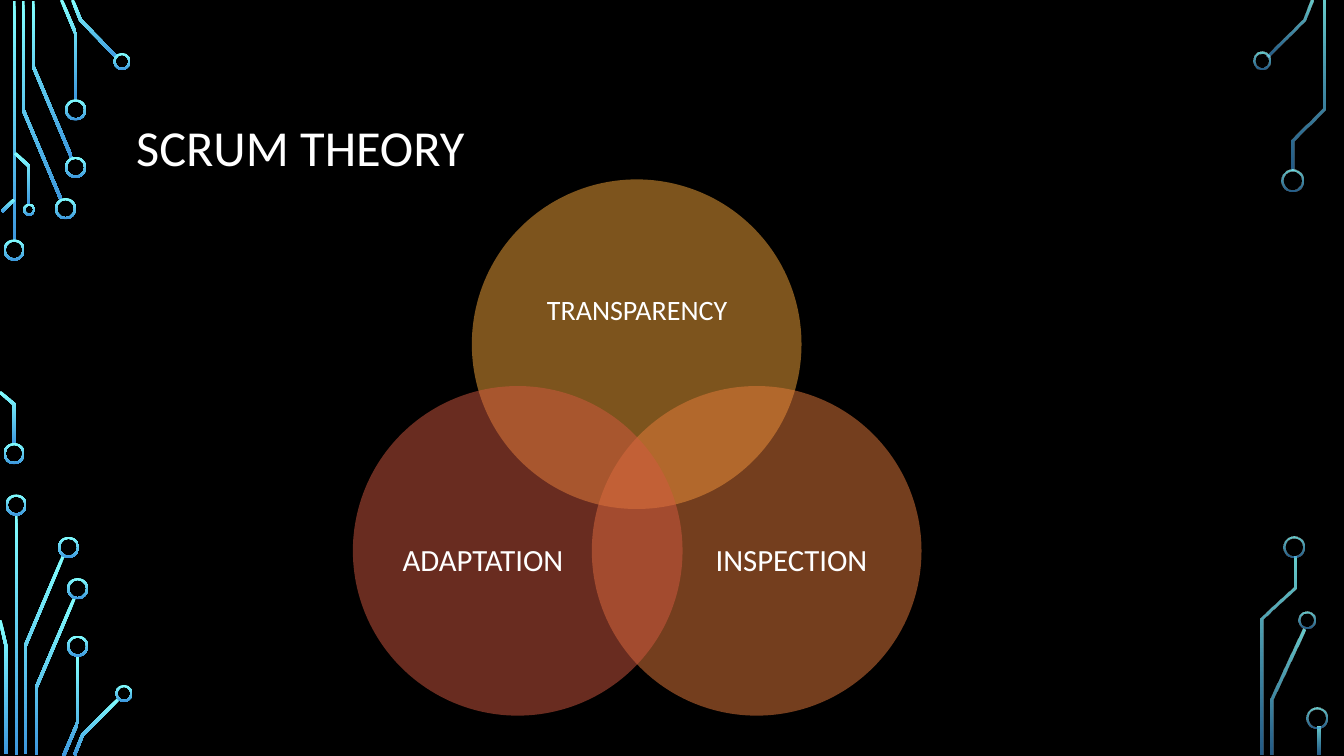
import math
from dataclasses import dataclass

import pptx
import pptx.util
from lxml import etree
from pptx.dml.color import RGBColor
from pptx.enum.shapes import MSO_SHAPE
from pptx.enum.text import MSO_ANCHOR, MSO_AUTO_SIZE, PP_ALIGN
from pptx.oxml.ns import qn

PX = 9144  # EMU per px, 100 px to the inch
FONT = "Calibri"
TRACE_WIDTH = 3
RING_WIDTH = 2

BLACK = RGBColor(0x00, 0x00, 0x00)
WHITE = RGBColor(0xFF, 0xFF, 0xFF)
CYAN = RGBColor(0x82, 0xFF, 0xFF)
BLUE = RGBColor(0x3D, 0x97, 0xDE)
AMBER = RGBColor(0xFA, 0xA9, 0x3A)
ORANGE = RGBColor(0xE8, 0x7C, 0x3C)
RED = RGBColor(0xD3, 0x59, 0x40)


@dataclass
class Box:
    left: int
    top: int
    width: int
    height: int

    def inner(self, left, top, width, height):
        return Box(self.left + left, self.top + top, width, height)

    def emu(self):
        return [round(n * PX) for n in (self.left, self.top, self.width, self.height)]


# Circuit art: traces are centre lines, rings are (centre x, centre y, diameter)
LEFT_TRACES = [
    [(14, 1), (14, 240)],
    [(23, 1), (23, 109), (61, 199)],
    [(33, 1), (33, 66), (71, 156)],
    [(61, 0), (75, 33), (75, 100)],
    [(72, 0), (80, 20), (116, 57)],
    [(14, 198), (2, 210)],
    [(0, 389), (14, 401), (14, 441)],
    [(15, 152), (29, 165), (29, 203)],
    [(16, 510), (16, 749)],
    [(63, 551), (25, 641), (25, 748)],
    [(0, 615), (6, 641), (6, 748)],
    [(74, 593), (36, 682), (36, 749)],
    [(77, 650), (77, 717), (63, 750)],
    [(118, 693), (82, 729), (74, 749)],
]
LEFT_RINGS = [
    (14, 248, 21), (14, 450, 21), (65, 207, 21), (75, 166, 21),
    (75, 109, 21), (121, 61, 17), (29, 208, 12), (16, 501, 21),
    (68, 543, 21), (77, 584, 21), (77, 641, 21), (123, 688, 17),
]
RIGHT_TRACES = [
    [(51, 0), (43, 20), (7, 56)],
    [(63, 1), (63, 108), (32, 139), (32, 169)],
    [(43, 624), (12, 694), (12, 749)],
    [(34, 552), (34, 583), (2, 614), (2, 749)],
    [(58, 721), (58, 749)],
]
RIGHT_RINGS = [(2, 60, 17), (32, 179, 21), (46, 615, 17), (33, 543, 21), (56, 712, 21)]


def set_alpha(shape, percents):
    colors = shape._element.spPr.iter(qn("a:srgbClr"))
    for color, percent in zip(colors, percents):
        etree.SubElement(color, qn("a:alpha")).set("val", str(percent * 1000))


def paint_gradient(shape, alphas):
    shape.shadow.inherit = False
    shape.line.fill.background()
    shape.fill.gradient()
    shape.fill.gradient_angle = 270
    for stop, color in zip(shape.fill.gradient_stops, (CYAN, BLUE)):
        stop.color.rgb = color
    set_alpha(shape, alphas)


def trace_outline(points):
    """Widen a centre line into a closed outline with mitred corners."""
    normals = []
    for (x1, y1), (x2, y2) in zip(points, points[1:]):
        length = math.hypot(x2 - x1, y2 - y1)
        normals.append(((y1 - y2) / length, (x2 - x1) / length))
    one_side, other_side = [], []
    for (x, y), (ax, ay), (bx, by) in zip(points, normals[:1] + normals, normals + normals[-1:]):
        reach = TRACE_WIDTH / 2 / (1 + ax * bx + ay * by)
        dx, dy = (ax + bx) * reach, (ay + by) * reach
        one_side.append((x + dx, y + dy))
        other_side.append((x - dx, y - dy))
    return one_side + other_side[::-1]


def add_circuit(page, box, traces, rings, alphas):
    for points in traces:
        outline = [(round((box.left + x) * PX), round((box.top + y) * PX))
                   for x, y in trace_outline(points)]
        builder = page.shapes.build_freeform(*outline[0])
        builder.add_line_segments(outline[1:], close=True)
        paint_gradient(builder.convert_to_shape(), alphas)
    for x, y, size in rings:
        place = box.inner(x - size / 2, y - size / 2, size, size)
        ring = page.shapes.add_shape(MSO_SHAPE.DONUT, *place.emu())
        ring.adjustments[0] = RING_WIDTH / size
        paint_gradient(ring, alphas)


def write_text(shape, text, *, size, align, inset=None):
    frame = shape.text_frame
    frame.word_wrap = True
    frame.auto_size = MSO_AUTO_SIZE.NONE
    frame.vertical_anchor = MSO_ANCHOR.MIDDLE
    if inset is not None:
        frame.margin_left = frame.margin_right = inset * PX
        frame.margin_top = frame.margin_bottom = inset * PX
    para = frame.paragraphs[0]
    para.alignment = align
    para.line_spacing = 0.9
    span = para.add_run()
    span.text = text
    span.font.name = FONT
    span.font.size = pptx.util.Pt(size)
    span.font.color.rgb = WHITE


def add_title(page, box):
    title = page.shapes.title
    title.left, title.top, title.width, title.height = box.emu()
    write_text(title, "SCRUM THEORY", size=36, align=PP_ALIGN.LEFT)


def add_venn(page, box):
    diameter = 327
    right, bottom = box.width - diameter, box.height - diameter
    # Circle position, label box within the circle, text size
    circles = [
        ("TRANSPARENCY", AMBER, right // 2, 0, (44, 57, 240, 147), 20),
        ("INSPECTION", ORANGE, right, bottom, (100, 84, 196, 180), 22),
        ("ADAPTATION", RED, 0, bottom, (31, 84, 196, 180), 22),
    ]
    for text, color, left, top, label_place, size in circles:
        place = box.inner(left, top, diameter, diameter)
        circle = page.shapes.add_shape(MSO_SHAPE.OVAL, *place.emu())
        circle.shadow.inherit = False
        circle.line.fill.background()
        circle.fill.solid()
        circle.fill.fore_color.rgb = color
        set_alpha(circle, [50])
        label = page.shapes.add_textbox(*place.inner(*label_place).emu())
        write_text(label, text, size=size, align=PP_ALIGN.CENTER, inset=0)


def main():
    deck = pptx.Presentation()
    deck.slide_width, deck.slide_height = 1333 * PX, 750 * PX
    page = deck.slides.add_slide(deck.slide_layouts[5])
    page.background.fill.solid()
    page.background.fill.fore_color.rgb = BLACK

    add_circuit(page, Box(0, 0, 132, 750), LEFT_TRACES, LEFT_RINGS, [100, 100])
    add_circuit(page, Box(1250, 0, 83, 750), RIGHT_TRACES, RIGHT_RINGS, [80, 60])
    add_title(page, Box(125, 68, 1083, 162))
    add_venn(page, Box(350, 178, 564, 532))
    deck.save("out.pptx")


if __name__ == "__main__":
    main()
